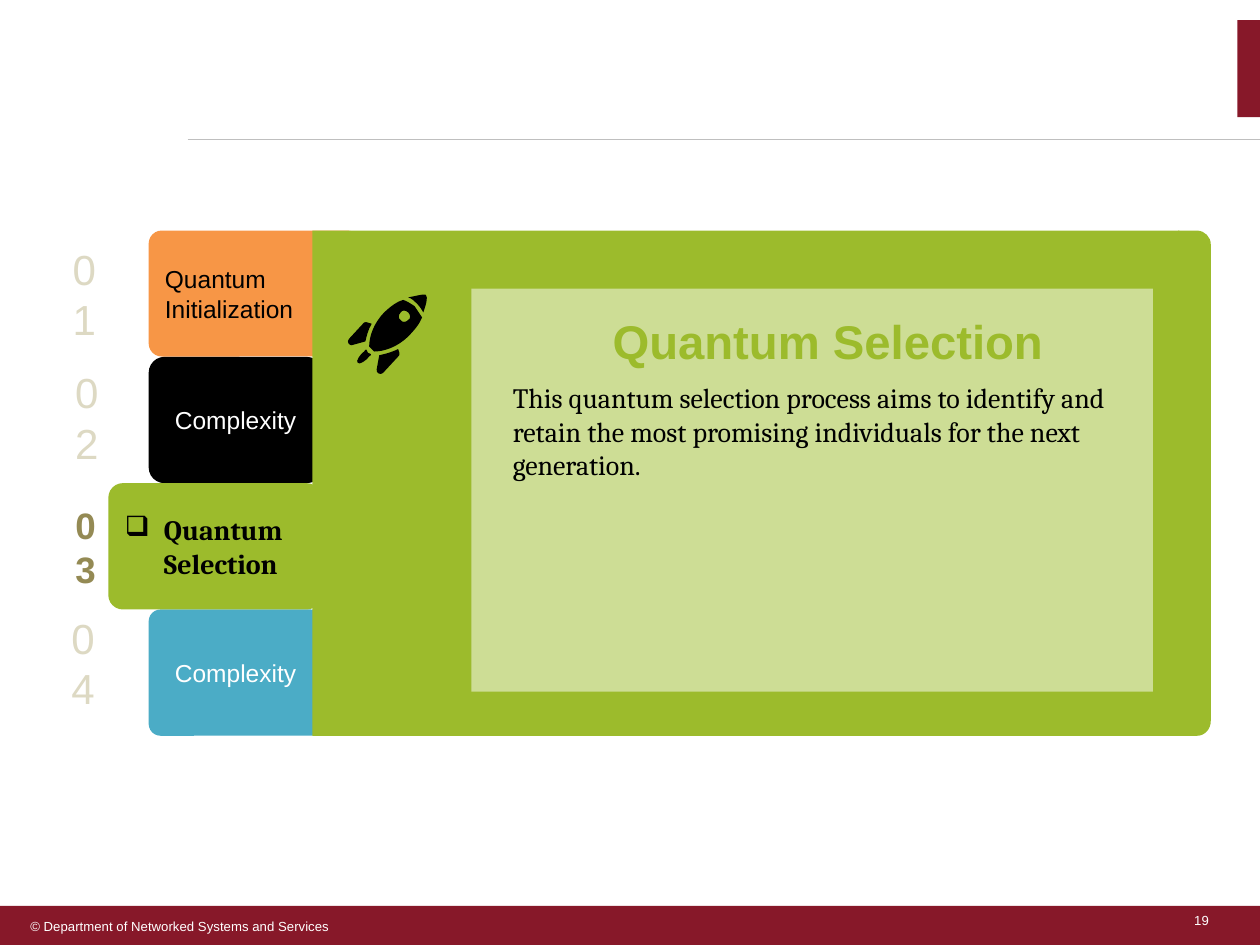
import dataclasses

import pptx
import pptx.dml.color
import pptx.enum.shapes
import pptx.enum.text
import pptx.oxml
import pptx.oxml.ns
import pptx.util

SHAPES = pptx.enum.shapes.MSO_SHAPE
ALIGN = pptx.enum.text.PP_ALIGN
ANCHOR = pptx.enum.text.MSO_ANCHOR
Inches = pptx.util.Inches


@dataclasses.dataclass(frozen=True)
class Theme:
    """Colours, fonts and type sizes of the deck."""
    white: str = "FFFFFF"
    black: str = "000000"
    maroon: str = "871829"
    rule: str = "BFBFBF"
    green: str = "9CBB2C"
    orange: str = "F79646"
    blue: str = "4BACC6"
    pale: str = "DDD9C3"
    olive: str = "948A54"
    sans: str = "Arial"
    serif: str = "Cambria"
    small: float = 7.5
    label: float = 14
    body: float = 16
    active_number: float = 21
    number: float = 24
    title: float = 27


THEME = Theme()
ROCKET = [
    "M 62 0 C 61 -1 54 1 48 2 C 51 3 53 5 55 7 C 57 9 59 12 60 14 C 62 8 64 2 62 0",
    "M 19 23 L 16 22 C 15 21 14 22 13 22 L 1 35 C -1 37 1 40 3 40 L 14 37 C 15 33 16 28 19 23",
    "M 40 43 C 34 46 29 47 25 48 L 23 59 C 22 62 26 64 28 62 L 40 49 C 41 49 41 47 41 46",
    "M 44 4 C 40 5 34 9 29 14 C 20 23 17 34 17 41 L 21 45 C 28 45 39 42 48 33 "
    "C 53 28 57 23 59 18 C 57 15 55 12 53 9 C 50 7 47 5 44 4 "
    "M 48 20 C 46 22 43 22 42 20 C 40 19 40 16 42 14 C 43 12 46 12 48 14 C 50 16 50 19 48 20",
    "M 16 46 C 15 44 15 42 13 45 C 10 47 6 53 8 54 C 9 56 15 52 17 49 C 20 47 18 47 16 46",
]
PANEL_EDGE = "M 0 0 L 15 0 C 21 0 26 5 26 11 L 26 389 C 26 396 21 401 15 401 L 0 401"


def rgb(color):
    """Turn a hex string into a colour."""
    return pptx.dml.color.RGBColor.from_string(color)


def element(markup):
    """Make a drawing element from its tag and attributes."""
    return pptx.oxml.parse_xml(f'<a:{markup} {pptx.oxml.ns.nsdecls("a")}/>')


def paint(shape, color, alpha=None):
    """Give a shape a flat fill without line or shadow."""
    shape.shadow.inherit = False
    shape.fill.solid()
    shape.fill.fore_color.rgb = rgb(color)
    shape.line.fill.background()
    if alpha is not None:
        node = shape.fill._xPr.find(".//" + pptx.oxml.ns.qn("a:srgbClr"))
        node.append(element(f'alpha val="{alpha * 1000}"'))


def add_block(page, kind, box, color, radius=None, alpha=None):
    """Add a filled preset shape."""
    shape = page.shapes.add_shape(kind, *map(Inches, box))
    paint(shape, color, alpha)
    if radius is not None:
        shape.adjustments[0] = radius
    return shape


def write(shape, text, size, color, font=THEME.sans, bold=False, align=ALIGN.LEFT,
          anchor=ANCHOR.MIDDLE, margins=(0.1, 0.05), wrap=True):
    """Set and format the text of a shape."""
    frame = shape.text_frame
    frame.auto_size = pptx.enum.text.MSO_AUTO_SIZE.NONE
    frame.word_wrap = wrap
    frame.vertical_anchor = anchor
    frame.margin_left = frame.margin_right = Inches(margins[0])
    frame.margin_top = frame.margin_bottom = Inches(margins[1])
    frame.text = text
    para = frame.paragraphs[0]
    para.alignment = align
    para.space_before = pptx.util.Pt(0)
    span = para.runs[0].font
    span.size, span.name, span.bold = pptx.util.Pt(size), font, bold
    span.color.rgb = rgb(color)
    return para


def set_bullet(para, bullets, indent=0):
    """Give a paragraph its bullet elements and hanging indent."""
    props = para._p.get_or_add_pPr()
    props.set("marL", str(Inches(indent)))
    props.set("indent", str(-Inches(indent)))
    for markup in bullets:
        props.append(element(markup))


def add_outline(page, left, top, outline, color):
    """Add a filled freeform from an outline in hundredths of an inch."""
    builder, curves, words = None, [], outline.split()
    while words:
        command = words.pop(0)
        count = 6 if command == "C" else 2
        values = [float(word) for word in words[:count]]
        del words[:count]
        points = [(left * 100 + x, top * 100 + y) for x, y in zip(values[::2], values[1::2])]
        if builder is None:
            builder = page.shapes.build_freeform(*points[0], scale=9144)
        elif command == "M":
            builder.add_line_segments([], close=True)
            builder.move_to(*points[0])
        else:
            builder.add_line_segments(points, close=False)
            curves.append(command == "C")
    builder.add_line_segments([], close=True)
    shape = builder.convert_to_shape()
    paint(shape, color)
    lines = iter(shape._element.findall(".//" + pptx.oxml.ns.qn("a:lnTo")))
    for curved in curves:
        line = next(lines)
        if curved:
            curve = element("cubicBezTo")
            line.addprevious(curve)
            for part in (line, next(lines), next(lines)):
                curve.append(part[0])
                part.getparent().remove(part)


def add_frame(page, width, height):
    """Add the corner mark, the rule and the footer bar."""
    add_block(page, SHAPES.RECTANGLE, (width - 0.18, 0.16, 0.19, 0.77), THEME.maroon)
    footer = add_block(page, SHAPES.RECTANGLE, (0, height - 0.31, width + 0.01, 0.32), THEME.maroon)
    write(footer, "© Department of Networked Systems and Services", THEME.small,
          THEME.white, margins=(0.24, 0.05))
    rule = page.shapes.add_connector(pptx.enum.shapes.MSO_CONNECTOR.STRAIGHT,
                                     *map(Inches, (1.49, 1.11, width + 0.01, 1.11)))
    rule.line.color.rgb = rgb(THEME.rule)
    rule.line.width = pptx.util.Pt(0.75)
    rule._element.spPr.append(element("effectLst"))
    number = page.shapes.add_textbox(*map(Inches, (9.38, height - 0.31, 0.33, 0.23)))
    write(number, "19", THEME.small, THEME.white, anchor=ANCHOR.TOP, wrap=False)


def add_tab(page, box, text, fill, color, radius, align=ALIGN.CENTER):
    """Add one plain tab."""
    tab = add_block(page, SHAPES.ROUNDED_RECTANGLE, box, fill, radius)
    write(tab, text, THEME.label, color, align=align)


def add_active_tab(page, box, text):
    """Add the selected tab with its bullet."""
    tab = add_block(page, SHAPES.ROUNDED_RECTANGLE, box, THEME.green, 0.115)
    para = write(tab, text, THEME.body, THEME.black, THEME.serif, True)
    set_bullet(para, ('buFont typeface="Wingdings"', 'buChar char="q"'), 0.31)


def add_panel(page, left, top, title, body):
    """Add the green panel with its card, text and rocket."""
    add_block(page, SHAPES.ROUNDED_RECTANGLE, (left, top, 6.88, 4.01), THEME.green, 0)
    add_outline(page, left + 6.87, top, PANEL_EDGE, THEME.green)
    add_block(page, SHAPES.RECTANGLE, (left + 1.26, top + 0.46, 5.41, 3.2), THEME.white, alpha=50)
    heading, content = page.shapes.title, page.placeholders[1]
    for holder, offset, height in ((heading, 0.59, 0.56), (content, 1.14, 1.11)):
        holder.left, holder.top, holder.width, holder.height = map(
            Inches, (left + 1.59, top + offset, 5, height))
        page.shapes._spTree.append(holder._element)
    write(heading, title, THEME.title, THEME.green, bold=True, align=ALIGN.CENTER,
          anchor=ANCHOR.BOTTOM, margins=(0, 0.05))
    para = write(content, body, THEME.body, THEME.black, THEME.serif,
                 anchor=ANCHOR.TOP, margins=(0, 0.05))
    set_bullet(para, ("buNone",))
    for outline in ROCKET:
        add_outline(page, left + 0.28, top + 0.51, outline, THEME.black)


def add_numbers(page, rights, middles, active):
    """Add the step numbers down the left side."""
    for row, (right, middle) in enumerate(zip(rights, middles)):
        chosen = row == active
        width, height = (0.5, 0.45) if chosen else (0.46, 0.4)
        number = page.shapes.add_textbox(
            *map(Inches, (right - width, middle - height / 2, width, height)))
        write(number, f"0{row + 1}", THEME.active_number if chosen else THEME.number,
              THEME.olive if chosen else THEME.pale, bold=chosen, align=ALIGN.RIGHT)


def main():
    """Build and save the deck."""
    deck = pptx.Presentation()
    deck.slide_width, deck.slide_height = Inches(10), Inches(7.5)
    page = deck.slides.add_slide(deck.slide_layouts[1])
    add_frame(page, 10, 7.5)
    left, top, pitch = 1.18, 1.83, 4.01 / 4
    add_tab(page, (left, top, 1.68, 1), "Quantum Initialization",
            THEME.orange, THEME.black, 0.104, ALIGN.LEFT)
    for row, fill, radius in ((1, THEME.black, 0.125), (3, THEME.blue, 0.094)):
        add_tab(page, (left, top + row * pitch, 1.38, pitch), "Complexity",
                fill, THEME.white, radius)
    add_panel(page, 2.48, top, "Quantum Selection",
              "This quantum selection process aims to identify and retain the most "
              "promising individuals for the next generation.")
    add_active_tab(page, (0.86, top + 2 * pitch, 1.69, pitch), "Quantum Selection")
    add_numbers(page, (0.86, 0.88, 0.86, 0.85), (2.33, 3.31, 4.34, 5.26), 2)
    deck.save("out.pptx")


main()
